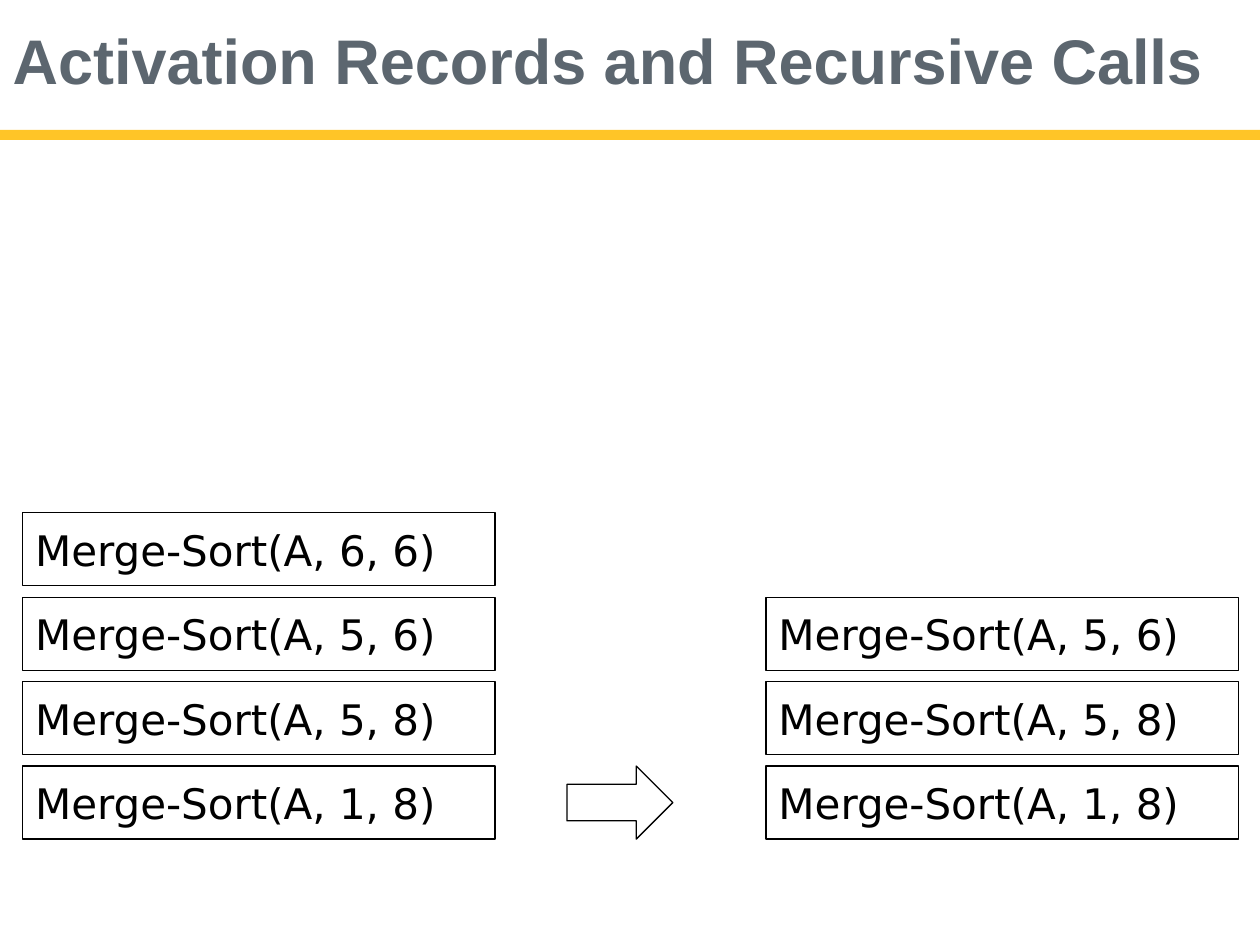
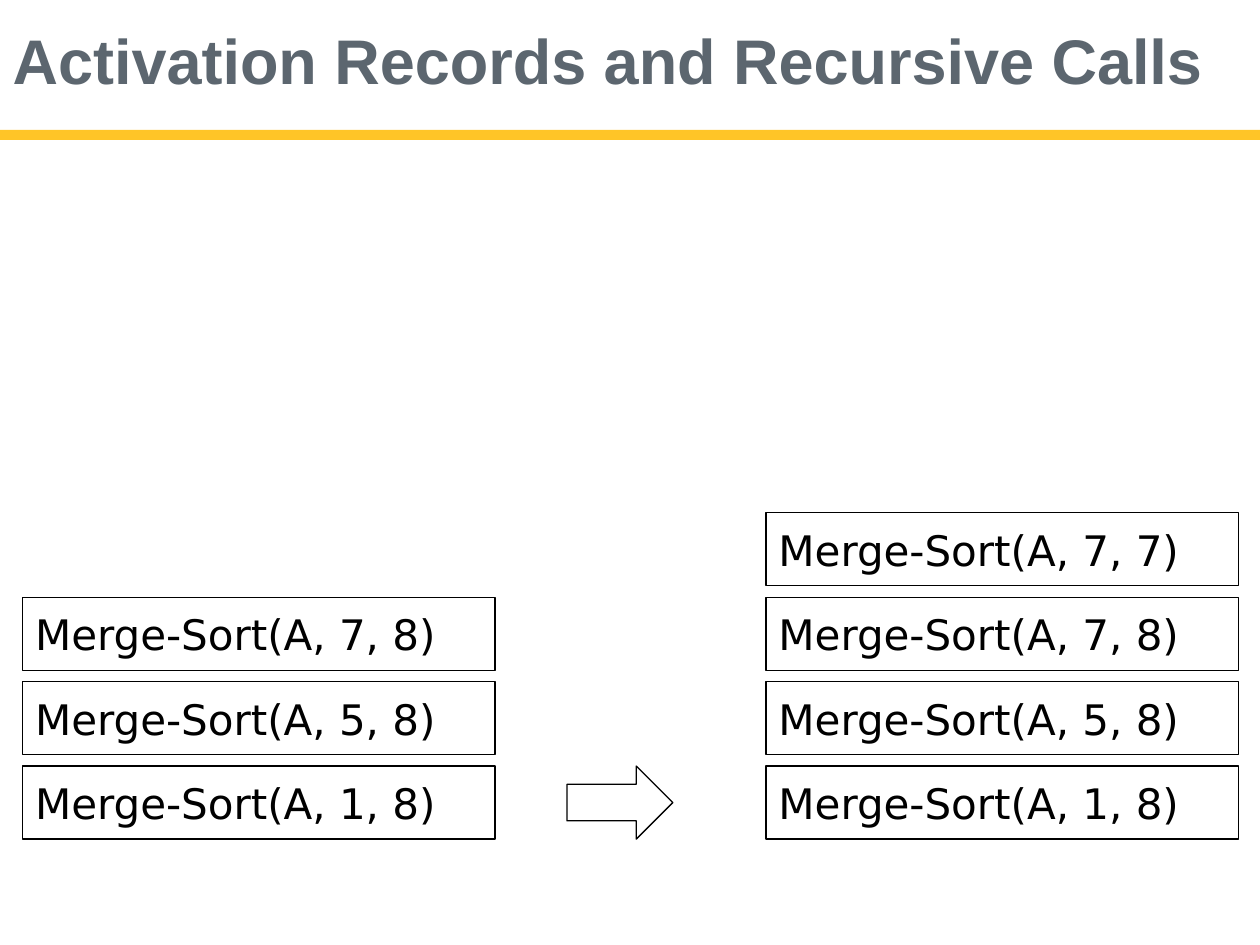
import pptx
import pptx.dml.color
import pptx.enum.shapes
import pptx.enum.text
import pptx.util
from pptx.util import Inches

TITLE = "Activation Records and Recursive Calls"
# Each page shows the call stack before and after a step, as (first, last)
# index pairs from the bottom record to the top one.
PAGES = [
    {"before": [(1, 8), (5, 8), (5, 6), (6, 6)],
     "after": [(1, 8), (5, 8), (5, 6)]},
    {"before": [(1, 8), (5, 8), (7, 8)],
     "after": [(1, 8), (5, 8), (7, 8), (7, 7)]},
]

WHITE = pptx.dml.color.RGBColor(0xFF, 0xFF, 0xFF)
BLACK = pptx.dml.color.RGBColor(0x00, 0x00, 0x00)
GOLD = pptx.dml.color.RGBColor(0xFF, 0xC5, 0x27)
SLATE = pptx.dml.color.RGBColor(0x5C, 0x66, 0x6F)
TITLE_FONT = "Arial"
RECORD_FONT = "DejaVu Sans"

PAGE_WIDTH, PAGE_HEIGHT = 10, 7.5
STACK_LEFT = {"before": 0.18, "after": 6.08}
STACK_BASE = 6.08
RECORD_WIDTH, RECORD_HEIGHT = 3.75, 0.58
RECORD_PITCH = 0.67
ARROW_LEFT, ARROW_WIDTH = 4.5, 0.84

SHAPES = pptx.enum.shapes.MSO_SHAPE
ANCHOR = pptx.enum.text.MSO_ANCHOR


def write(shape, text, font_name, size, color, bold, anchor, left_inset):
    frame = shape.text_frame
    frame.word_wrap = True
    frame.vertical_anchor = anchor
    frame.margin_left = Inches(left_inset)
    frame.margin_top = frame.margin_right = frame.margin_bottom = 0
    para = frame.paragraphs[0]
    para.text = text
    para.alignment = pptx.enum.text.PP_ALIGN.LEFT
    para.font.name = font_name
    para.font.size = pptx.util.Pt(size)
    para.font.bold = bold
    para.font.color.rgb = color


def add_outline(page, preset, left, top, width, height):
    """Add an unfilled shape with a thin black line."""
    shape = page.shapes.add_shape(
        preset, Inches(left), Inches(top), Inches(width), Inches(height))
    shape.shadow.inherit = False
    shape.fill.background()
    shape.line.color.rgb = BLACK
    shape.line.width = pptx.util.Pt(0.75)
    return shape


def add_heading(page):
    """Add the gold band and the title that every page shares."""
    band = page.shapes.add_shape(
        SHAPES.RECTANGLE, 0, Inches(1.03), Inches(PAGE_WIDTH), Inches(0.08))
    band.shadow.inherit = False
    band.fill.solid()
    band.fill.fore_color.rgb = GOLD
    band.line.fill.background()
    title = page.shapes.add_textbox(
        Inches(0.09), Inches(0.17), Inches(9.48), Inches(0.63))
    write(title, TITLE, TITLE_FONT, 36, SLATE, True, ANCHOR.TOP, 0.01)


def add_stack(page, left, records):
    for level, (first, last) in enumerate(records):
        top = STACK_BASE - level * RECORD_PITCH
        box = add_outline(page, SHAPES.RECTANGLE, left, top,
                          RECORD_WIDTH, RECORD_HEIGHT)
        write(box, f"Merge-Sort(A, {first}, {last})", RECORD_FONT, 24,
              BLACK, False, ANCHOR.MIDDLE, 0.1)


def main():
    deck = pptx.Presentation()
    deck.slide_width = Inches(PAGE_WIDTH)
    deck.slide_height = Inches(PAGE_HEIGHT)
    for stacks in PAGES:
        page = deck.slides.add_slide(deck.slide_layouts[6])
        page.background.fill.solid()
        page.background.fill.fore_color.rgb = WHITE
        add_heading(page)
        for moment, records in stacks.items():
            add_stack(page, STACK_LEFT[moment], records)
        add_outline(page, SHAPES.RIGHT_ARROW, ARROW_LEFT, STACK_BASE,
                    ARROW_WIDTH, RECORD_HEIGHT)
    deck.save("out.pptx")


if __name__ == "__main__":
    main()
